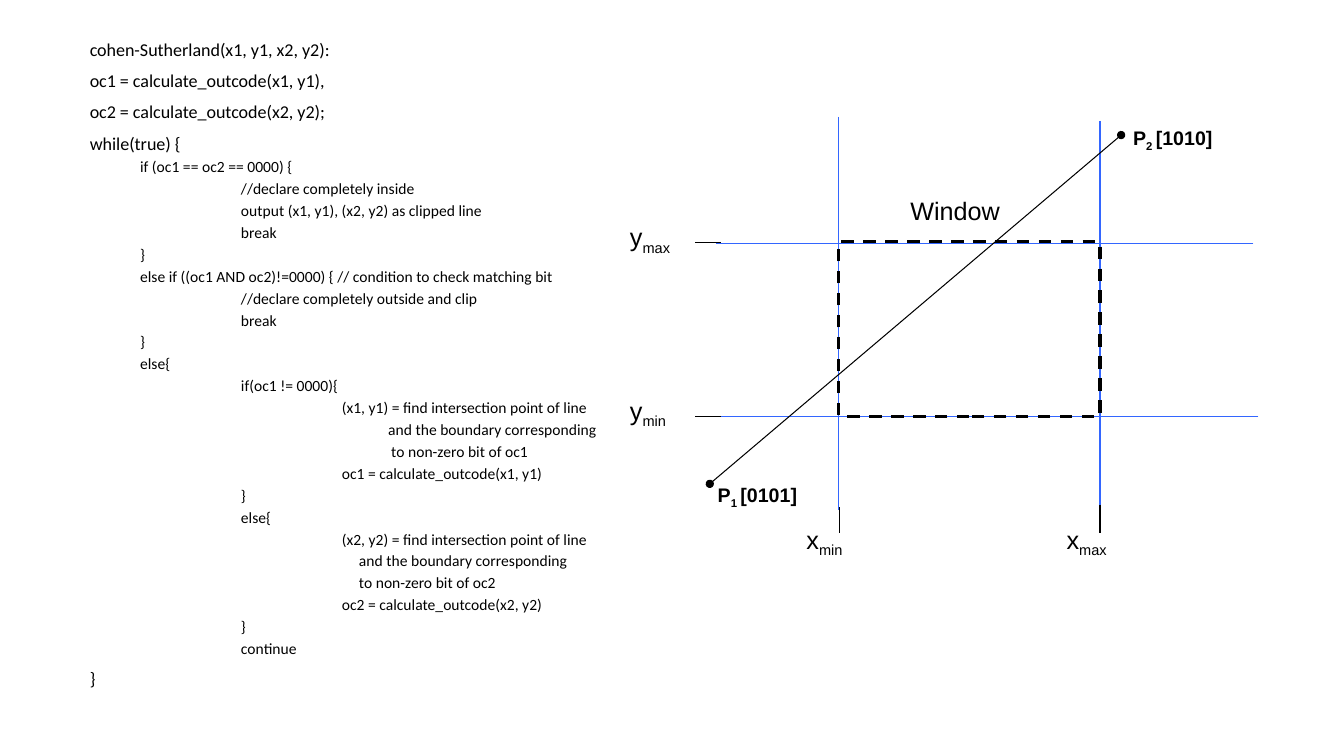
"""Build the Cohen-Sutherland line clipping slide."""
import pptx
import pptx.dml.color
import pptx.enum.dml
import pptx.enum.shapes
import pptx.enum.text
import pptx.oxml
import pptx.oxml.ns
import pptx.util
from dataclasses import dataclass

Inches, Pt = pptx.util.Inches, pptx.util.Pt


@dataclass
class Theme:
    ink: str = "000000"
    blue: str = "3366FF"
    code: str = "Calibri"
    font: str = "Arial"
    outer: float = 12.9
    inner: float = 11.1
    label: float = 18
    point: float = 14
    thin: float = 0.75
    thick: float = 2.25


THEME = Theme()
CODE = [
    (0, "cohen-Sutherland(x1, y1, x2, y2):"),
    (0, "oc1 = calculate_outcode(x1, y1),"),
    (0, "oc2 = calculate_outcode(x2, y2);"),
    (0, "while(true) {"),
    (0.5, "if (oc1 == oc2 == 0000) {"),
    (1.5, "//declare completely inside"),
    (1.5, "output (x1, y1), (x2, y2) as clipped line"),
    (1.5, "break"),
    (0.5, "}"),
    (0.5, "else if ((oc1 AND oc2)!=0000) { // condition to check matching bit"),
    (1.5, "//declare completely outside and clip"),
    (1.5, "break"),
    (0.5, "}"),
    (0.5, "else{"),
    (1.5, "if(oc1 != 0000){"),
    (2.5, "(x1, y1) = find intersection point of line"),
    (2.96, "and the boundary corresponding"),
    (2.99, "to non-zero bit of oc1"),
    (2.5, "oc1 = calculate_outcode(x1, y1)"),
    (1.5, "}"),
    (1.5, "else{"),
    (2.5, "(x2, y2) = find intersection point of line"),
    (2.67, "and the boundary corresponding"),
    (2.67, "to non-zero bit of oc2"),
    (2.5, "oc2 = calculate_outcode(x2, y2)"),
    (1.5, "}"),
    (1.5, "continue"),
    (0, "}"),
]
LEFT, RIGHT, TOP, BASE = 8.32, 10.91, 2.4, 4.13
EDGES = [
    (LEFT, 1.16, LEFT, 5.06),
    (RIGHT, 1.2, RIGHT, 5.1),
    (12.43, 2.42, 7.1, 2.42),
    (12.48, BASE, 7.15, BASE),
]
TICKS = [
    (7.15, 2.41, 6.89, 2.41),
    (7.15, BASE, 6.89, BASE),
    (8.33, 5.03, 8.33, 5.29),
    (RIGHT, 5.01, RIGHT, 5.29),
]
CLIP = (7.04, 4.8, 11.12, 1.34)
LABELS = [
    (6.15, 2.15, 0.73, "y", "max"),
    (6.15, 3.87, 0.67, "y", "min"),
    (7.9, 5.15, 0.67, "x", "min"),
    (10.48, 5.15, 0.73, "x", "max"),
    (8.93, 1.89, 1.23, "Window"),
]
POINTS = [
    (11.14, 1.2, 1.01, "P", "2 ", "[1010]"),
    (7.02, 4.74, 1.03, "P", "1 ", "[0101]"),
]


def tint(color):
    return pptx.dml.color.RGBColor.from_string(color)


def style(font, name, size, bold=False):
    font.name, font.size, font.bold = name, Pt(size), bold
    font.color.rgb = tint(THEME.ink)


def add_node(parent, tag, **attrs):
    node = pptx.oxml.parse_xml(f"<a:{tag} {pptx.oxml.ns.nsdecls('a')}/>")
    for key, value in attrs.items():
        node.set(key, value)
    parent.append(node)


def add_code(body):
    body.left, body.top, body.width, body.height = map(
        Inches, (0.79, 0.37, 5.54, 6.49))
    frame = body.text_frame
    frame.text = "\n".join(text for _, text in CODE)
    frame.word_wrap = True
    frame.auto_size = pptx.enum.text.MSO_AUTO_SIZE.NONE
    frame.vertical_anchor = pptx.enum.text.MSO_ANCHOR.TOP
    for para, (indent, _) in zip(frame.paragraphs, CODE):
        para.level = 1 if indent else 0
        para.line_spacing = 0.8
        para.space_before = Pt(5 if indent else 10)
        props = para._p.get_or_add_pPr()
        props.set("marL", str(Inches(indent)))
        props.set("indent", "0")
        add_node(props, "buNone")
        size = THEME.inner if indent else THEME.outer
        style(para.runs[0].font, THEME.code, size)


def add_line(shapes, ends, color):
    line = shapes.add_connector(
        pptx.enum.shapes.MSO_CONNECTOR.STRAIGHT, *map(Inches, ends))
    line.line.color.rgb = tint(color)
    line.line.width = Pt(THEME.thin)
    add_node(line._element.spPr, "effectLst")
    return line


def add_window(shapes):
    box = shapes.add_shape(
        pptx.enum.shapes.MSO_SHAPE.RECTANGLE,
        *map(Inches, (LEFT, TOP, RIGHT - LEFT, BASE - TOP)))
    box.shadow.inherit = False
    box.fill.background()
    box.line.color.rgb = tint(THEME.ink)
    box.line.width = Pt(THEME.thick)
    box.line.dash_style = pptx.enum.dml.MSO_LINE.DASH


def add_label(shapes, label, size, height, bold=False):
    left, top, width, *parts = label
    box = shapes.add_textbox(*map(Inches, (left, top, width, height)))
    frame = box.text_frame
    frame.word_wrap = False
    frame.auto_size = pptx.enum.text.MSO_AUTO_SIZE.SHAPE_TO_FIT_TEXT
    for place, text in enumerate(parts):
        run = frame.paragraphs[0].add_run()
        run.text = text
        style(run.font, THEME.font, size, bold)
        if place == 1:
            run._r.get_or_add_rPr().set("baseline", "-25000")


def main():
    deck = pptx.Presentation()
    deck.slide_width, deck.slide_height = Inches(13.33), Inches(7.5)
    slide = deck.slides.add_slide(deck.slide_layouts[1])
    title = slide.shapes.title.element
    title.getparent().remove(title)
    add_code(slide.placeholders[1])

    shapes = slide.shapes.add_group_shape().shapes
    for ends in EDGES:
        add_line(shapes, ends, THEME.blue)
    add_window(shapes)
    for ends in TICKS:
        add_line(shapes, ends, THEME.ink)
    for label in LABELS:
        add_label(shapes, label, THEME.label, 0.45)
    clip = add_line(shapes, CLIP, THEME.ink)
    for tag in ("headEnd", "tailEnd"):
        add_node(clip.line._get_or_add_ln(), tag, type="oval")
    for label in POINTS:
        add_label(shapes, label, THEME.point, 0.34, True)
    deck.save("out.pptx")


if __name__ == "__main__":
    main()
